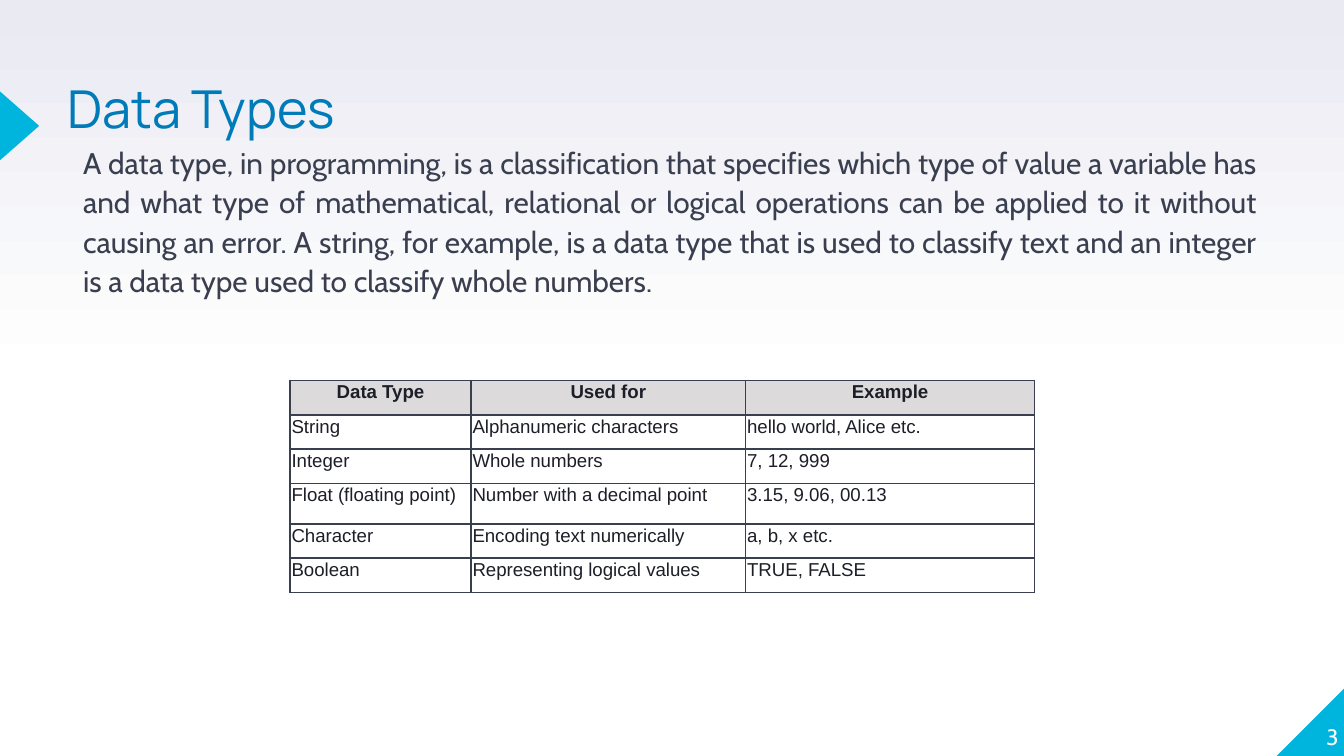
from copy import deepcopy
from dataclasses import dataclass

from lxml import etree
from pptx import Presentation
from pptx.dml.color import RGBColor
from pptx.enum.shapes import MSO_SHAPE
from pptx.enum.text import MSO_ANCHOR, PP_ALIGN
from pptx.oxml.ns import qn
from pptx.util import Cm, Pt

RIGHT_TRIANGLE, TRIANGLE = MSO_SHAPE.RIGHT_TRIANGLE, MSO_SHAPE.ISOSCELES_TRIANGLE
TOP, BOTTOM = MSO_ANCHOR.TOP, MSO_ANCHOR.BOTTOM
LEFT, CENTER = PP_ALIGN.LEFT, PP_ALIGN.CENTER
RIGHT, JUSTIFY = PP_ALIGN.RIGHT, PP_ALIGN.JUSTIFY


@dataclass(frozen=True)
class Theme:
    accent: str = "00B5DD"
    title: str = "007BB9"
    body: str = "3A3F50"
    cell: str = "1D1F28"
    header: str = "DCDADA"
    haze: str = "E9EAF2"
    white: str = "FFFFFF"
    title_font: str = "Manrope"
    body_font: str = "Cabin"
    table_font: str = "Arial"
    title_size: int = 28
    body_size: int = 16
    number_size: int = 12
    table_size: int = 10


class SlideBuilder:
    def __init__(self, page, theme):
        self.page = page
        self.theme = theme

    def background(self):
        """White up to the middle, then fading to haze at the top."""
        fill = self.page.background.fill
        fill.gradient()
        fill.gradient_angle = 90
        stop_list = self.page.element.find(".//" + qn("a:gsLst"))
        stop_list.insert(0, deepcopy(stop_list[0]))
        colors = (self.theme.white, self.theme.white, self.theme.haze)
        for stop, position, color in zip(fill.gradient_stops, (0, 0.5, 1), colors):
            stop.position = position
            stop.color.rgb = RGBColor.from_string(color)

    def accent(self, kind, left, top, width, height, rotation=0, flip=False):
        shape = self.page.shapes.add_shape(kind, Cm(left), Cm(top), Cm(width), Cm(height))
        shape.shadow.inherit = False
        shape.fill.solid()
        shape.fill.fore_color.rgb = RGBColor.from_string(self.theme.accent)
        shape.line.fill.background()
        shape.rotation = rotation
        if flip:
            shape.element.spPr.find(qn("a:xfrm")).set("flipH", "1")

    def style(self, para, font, size, color, align=LEFT, bold=False):
        para.alignment = align
        para.font.name = font
        para.font.size = Pt(size)
        para.font.bold = bold
        para.font.color.rgb = RGBColor.from_string(color)

    def text(self, words, left, top, width, height, font, size, color,
             align=LEFT, anchor=TOP, spacing=1.0, before=0, indent=0):
        box = self.page.shapes.add_textbox(Cm(left), Cm(top), Cm(width), Cm(height))
        frame = box.text_frame
        frame.word_wrap = True
        frame.vertical_anchor = anchor
        frame.margin_left = frame.margin_right = frame.margin_top = frame.margin_bottom = 0
        para = frame.paragraphs[0]
        para.text = words
        para.line_spacing = spacing
        para.space_before = Pt(before)
        self.style(para, font, size, color, align)
        if indent:
            properties = para._p.get_or_add_pPr()
            properties.set("marL", str(Cm(indent)))
            properties.set("indent", "0")

    def cell_borders(self, cell):
        properties = cell._tc.get_or_add_tcPr()
        for index, side in enumerate(("lnL", "lnR", "lnT", "lnB")):
            line = etree.Element(qn("a:" + side), w=str(Pt(1)))
            solid = etree.SubElement(line, qn("a:solidFill"))
            etree.SubElement(solid, qn("a:srgbClr"), val=self.theme.body)
            properties.insert(index, line)

    def table(self, rows, left, top, widths, heights):
        theme = self.theme
        frame = self.page.shapes.add_table(
            len(rows), len(widths), Cm(left), Cm(top), Cm(sum(widths)), Cm(sum(heights)))
        table = frame.table
        table.first_row = table.horz_banding = False
        for column, width in zip(table.columns, widths):
            column.width = Cm(width)
        for row, height in zip(table.rows, heights):
            row.height = Cm(height)
        for row_index, row in enumerate(rows):
            is_header = row_index == 0
            for column_index, words in enumerate(row):
                cell = table.cell(row_index, column_index)
                cell.margin_left = cell.margin_right = Cm(0.03)
                cell.margin_top = cell.margin_bottom = Cm(0.03)
                cell.text = words
                self.style(cell.text_frame.paragraphs[0], theme.table_font, theme.table_size,
                           theme.cell, CENTER if is_header else LEFT, is_header)
                cell.fill.solid()
                cell.fill.fore_color.rgb = RGBColor.from_string(
                    theme.header if is_header else theme.white)
                self.cell_borders(cell)


DEFINITION = (
    "A data type, in programming, is a classification that specifies which type of value "
    "a variable has and what type of mathematical, relational or logical operations can be "
    "applied to it without causing an error. A string, for example, is a data type that is "
    "used to classify text and an integer is a data type used to classify whole numbers."
)
DATA_TYPES = [
    ("Data Type", "Used for", "Example"),
    ("String", "Alphanumeric characters", "hello world, Alice etc."),
    ("Integer", "Whole numbers", "7, 12, 999"),
    ("Float (floating point)", "Number with a decimal point", "3.15, 9.06, 00.13"),
    ("Character", "Encoding text numerically", "a, b, x etc."),
    ("Boolean", "Representing logical values", "TRUE, FALSE"),
]


def main():
    deck = Presentation()
    deck.slide_width, deck.slide_height = Cm(25.4), Cm(14.29)
    theme = Theme()
    builder = SlideBuilder(deck.slides.add_slide(deck.slide_layouts[6]), theme)

    # Background and accents
    builder.background()
    builder.accent(RIGHT_TRIANGLE, 24.13, 12.99, 1.3, 1.3, flip=True)
    builder.accent(TRIANGLE, -0.28, 2.01, 1.3, 0.74, rotation=90)

    # Title, definition and page number
    builder.text("Data Types", 1.27, 1.68, 22.3, 1.27,
                 theme.title_font, theme.title_size, theme.title, spacing=0.8)
    builder.text(DEFINITION, 1.27, 2.67, 22.5, 10.31,
                 theme.body_font, theme.body_size, theme.body,
                 align=JUSTIFY, spacing=1.1, before=6, indent=0.3)
    builder.text("3", 24.03, 12.88, 1.27, 1.3,
                 theme.body_font, theme.number_size, theme.white, align=RIGHT, anchor=BOTTOM)

    # Table of data types
    builder.table(DATA_TYPES, 5.48, 7.19, widths=(3.42, 5.19, 5.46),
                  heights=(0.65, 0.65, 0.65, 0.76, 0.65, 0.65))

    deck.save("out.pptx")


if __name__ == "__main__":
    main()
